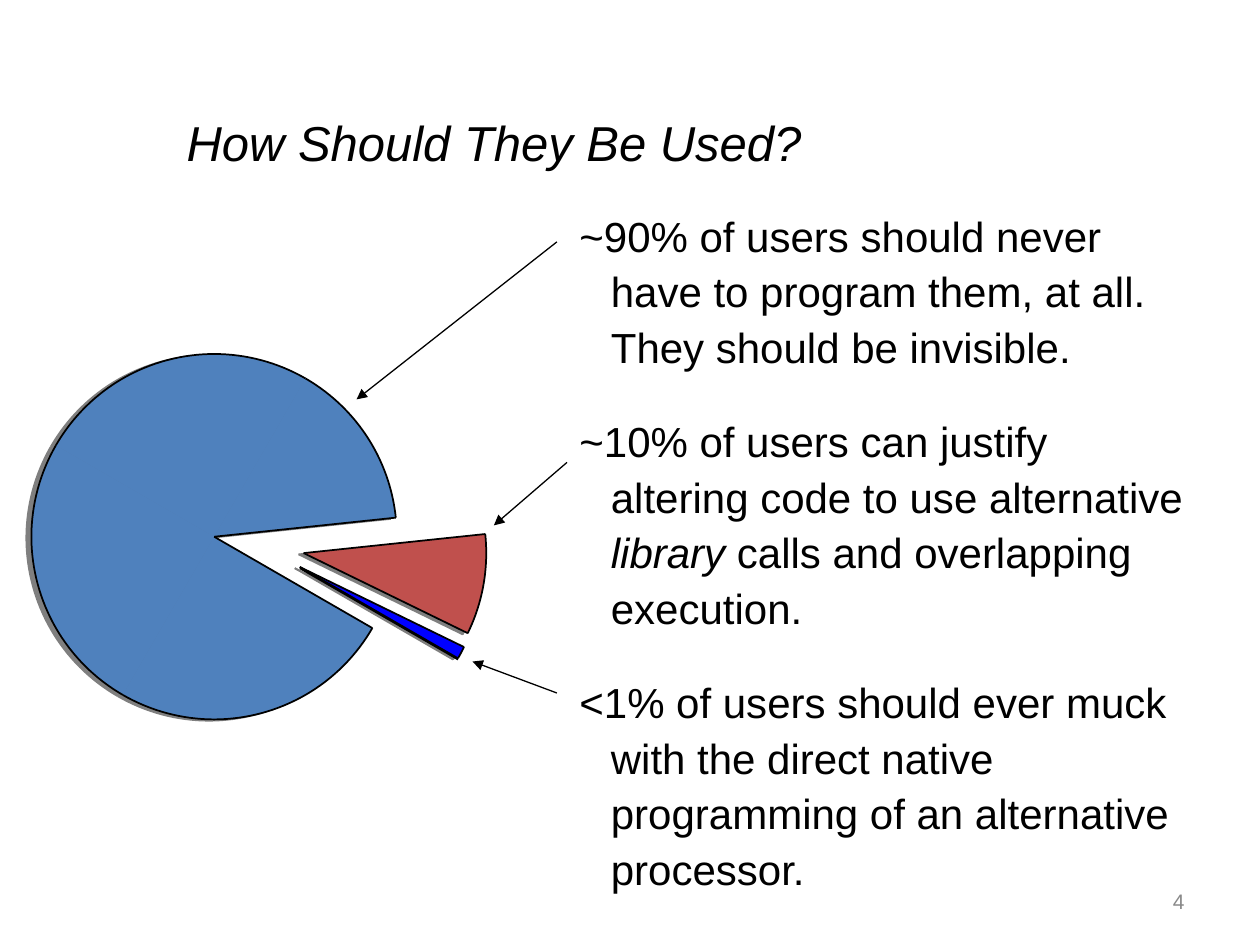
from math import cos, radians, sin

from pptx import Presentation
from pptx.dml.color import RGBColor
from pptx.enum.shapes import MSO_CONNECTOR, MSO_SHAPE
from pptx.enum.text import MSO_ANCHOR, MSO_AUTO_SIZE, PP_ALIGN
from pptx.oxml.ns import qn
from pptx.util import Inches, Pt
from lxml.etree import SubElement

COLORS = {
    "text": "000000",
    "outline": "000000",
    "shadow": "7F7F7F",
    "number": "898989",
    "most": "4F81BD",
    "some": "C0504D",
    "few": "0000FF",
}
FONT = "Arial"
RADIUS = 1.45
SHADOW_SHIFT = (-0.04, 0.01)

# colour, tip of the wedge, start and end angle (clockwise from the right)
WEDGES = [
    ("most", (1.7, 4.26), 30, 354),
    ("some", (2.41, 4.39), 354, 386),
    ("few", (2.38, 4.5), 26, 30),
]

# each claim is a list of (text, italic)
CLAIMS = [
    [("~90% of users should never have to program them, at all. "
      "They should be invisible.", False)],
    [("~10% of users can justify altering code to use alternative ", False),
     ("library", True),
     (" calls and overlapping execution.", False)],
    [("<1% of users should ever muck with the direct native programming "
      "of an alternative processor.", False)],
]

# from a claim to its wedge
ARROWS = [
    ((4.42, 5.5), (3.75, 5.25)),
    ((4.5, 3.67), (3.92, 4.17)),
    ((4.42, 1.92), (2.83, 3.17)),
]


def rgb(name):
    return RGBColor.from_string(COLORS[name])


def style_font(paragraph, size, color="text"):
    paragraph.font.name = FONT
    paragraph.font.size = Pt(size)
    paragraph.font.color.rgb = rgb(color)


def place(shape, left, top, width, height):
    shape.left, shape.top = Inches(left), Inches(top)
    shape.width, shape.height = Inches(width), Inches(height)


def add_title(slide, text):
    title = slide.shapes.title
    place(title, 0.42, 0.5, 7, 1.25)
    frame = title.text_frame
    frame.text = text
    frame.vertical_anchor = MSO_ANCHOR.MIDDLE
    heading = frame.paragraphs[0]
    heading.alignment = PP_ALIGN.CENTER
    style_font(heading, 28)
    heading.font.italic = True


def add_text_frame(slide, left, top, width, height):
    box = slide.shapes.add_textbox(
        Inches(left), Inches(top), Inches(width), Inches(height))
    box.text_frame.word_wrap = True
    return box.text_frame


def add_claims(slide):
    frame = add_text_frame(slide, 4.5, 1.58, 5.08, 5.57)
    frame.auto_size = MSO_AUTO_SIZE.SHAPE_TO_FIT_TEXT
    for index, claim in enumerate(CLAIMS):
        paragraph = frame.add_paragraph() if index else frame.paragraphs[0]
        for text, italic in claim:
            run = paragraph.add_run()
            run.text = text
            if italic:
                run.font.italic = True
        hanging = paragraph._p.get_or_add_pPr()
        hanging.set("marL", str(Inches(0.25)))
        hanging.set("indent", str(-Inches(0.25)))
        paragraph.line_spacing = 1.1
        paragraph.space_after = Pt(22.5)
        style_font(paragraph, 24)


def add_slide_number(slide, number):
    frame = add_text_frame(slide, 7.17, 6.95, 2.33, 0.4)
    frame.vertical_anchor = MSO_ANCHOR.MIDDLE
    frame.text = number
    paragraph = frame.paragraphs[0]
    paragraph.alignment = PP_ALIGN.RIGHT
    style_font(paragraph, 12, "number")


def add_line(parent, start, end, color, width):
    line = parent.shapes.add_connector(
        MSO_CONNECTOR.STRAIGHT, *(Inches(v) for v in start + end))
    line.line.color.rgb = rgb(color)
    line.line.width = Pt(width)
    SubElement(line._element.spPr, qn("a:effectLst"))
    return line


def fill_shape(shape, color):
    shape.shadow.inherit = False
    shape.fill.solid()
    shape.fill.fore_color.rgb = rgb(color)


def rim_point(tip, angle):
    turn = radians(angle)
    return tip[0] + RADIUS * cos(turn), tip[1] + RADIUS * sin(turn)


def add_sector(pie, tip, start, end, fill, outline):
    """Add the inner triangle of a sector and its filled arc."""
    corners = [(Inches(x), Inches(y)) for x, y in
               (tip, rim_point(tip, start), rim_point(tip, end))]
    builder = pie.shapes.build_freeform(*corners[0])
    builder.add_line_segments(corners[1:], close=True)
    triangle = builder.convert_to_shape()
    fill_shape(triangle, fill)
    triangle.line.fill.background()

    x, y = tip
    arc = pie.shapes.add_shape(
        MSO_SHAPE.ARC, Inches(x - RADIUS), Inches(y - RADIUS),
        Inches(2 * RADIUS), Inches(2 * RADIUS))
    # Angles are stored in 1/60000 degree, adjustments count 100000 as one
    arc.adjustments[0] = start % 360 * 0.6
    arc.adjustments[1] = end % 360 * 0.6
    fill_shape(arc, fill)
    arc.line.color.rgb = rgb(outline)
    arc.line.width = Pt(1)


def add_wedge(pie, tip, start, end, fill, outline):
    """Add a wedge in sectors of at most a quarter turn, with its edges."""
    for angle in range(start, end, 90):
        add_sector(pie, tip, angle, min(angle + 90, end), fill, outline)
    for angle in (start, end):
        add_line(pie, tip, rim_point(tip, angle), outline, 1)


def add_exploded_pie(slide):
    pie = slide.shapes.add_group_shape()
    dx, dy = SHADOW_SHIFT
    for _, (x, y), start, end in WEDGES:
        add_wedge(pie, (x + dx, y + dy), start, end, "shadow", "shadow")
    for color, tip, start, end in WEDGES:
        add_wedge(pie, tip, start, end, color, "outline")
    # The thinnest wedge has a heavier lower edge
    lower_tip = (tip[0], tip[1] + 0.01)
    add_line(pie, lower_tip, rim_point(lower_tip, end), "outline", 1)


def add_arrow(slide, start, end):
    arrow = add_line(slide, start, end, "outline", 0.75)
    SubElement(arrow.line._get_or_add_ln(), qn("a:tailEnd"), type="triangle")


def main():
    prs = Presentation()
    prs.slide_width, prs.slide_height = Inches(10), Inches(7.5)
    slide = prs.slides.add_slide(prs.slide_layouts[5])
    add_title(slide, "How Should They Be Used?")
    add_slide_number(slide, "4")
    add_claims(slide)
    add_exploded_pie(slide)
    for start, end in ARROWS:
        add_arrow(slide, start, end)
    prs.save("out.pptx")


if __name__ == "__main__":
    main()
